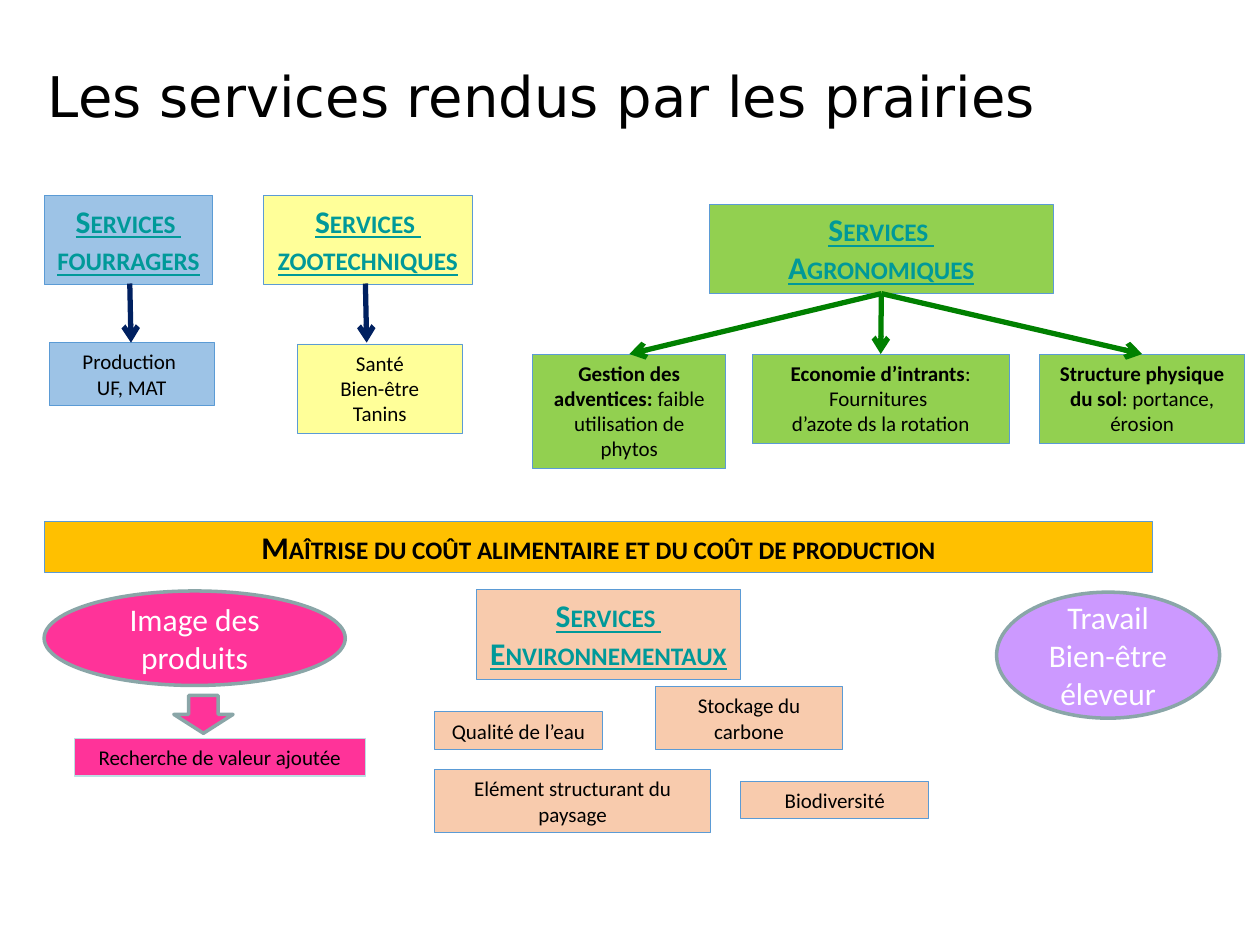
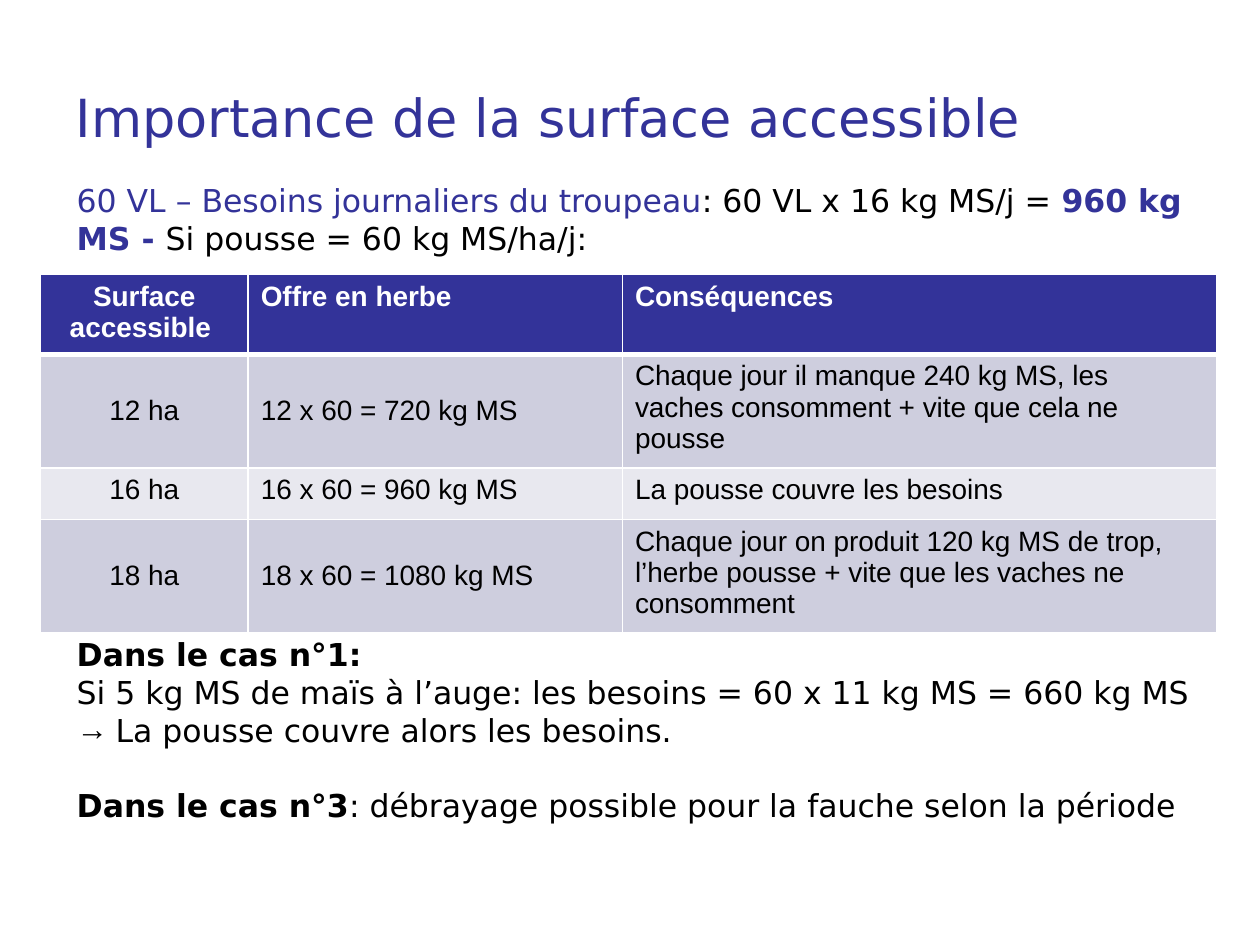
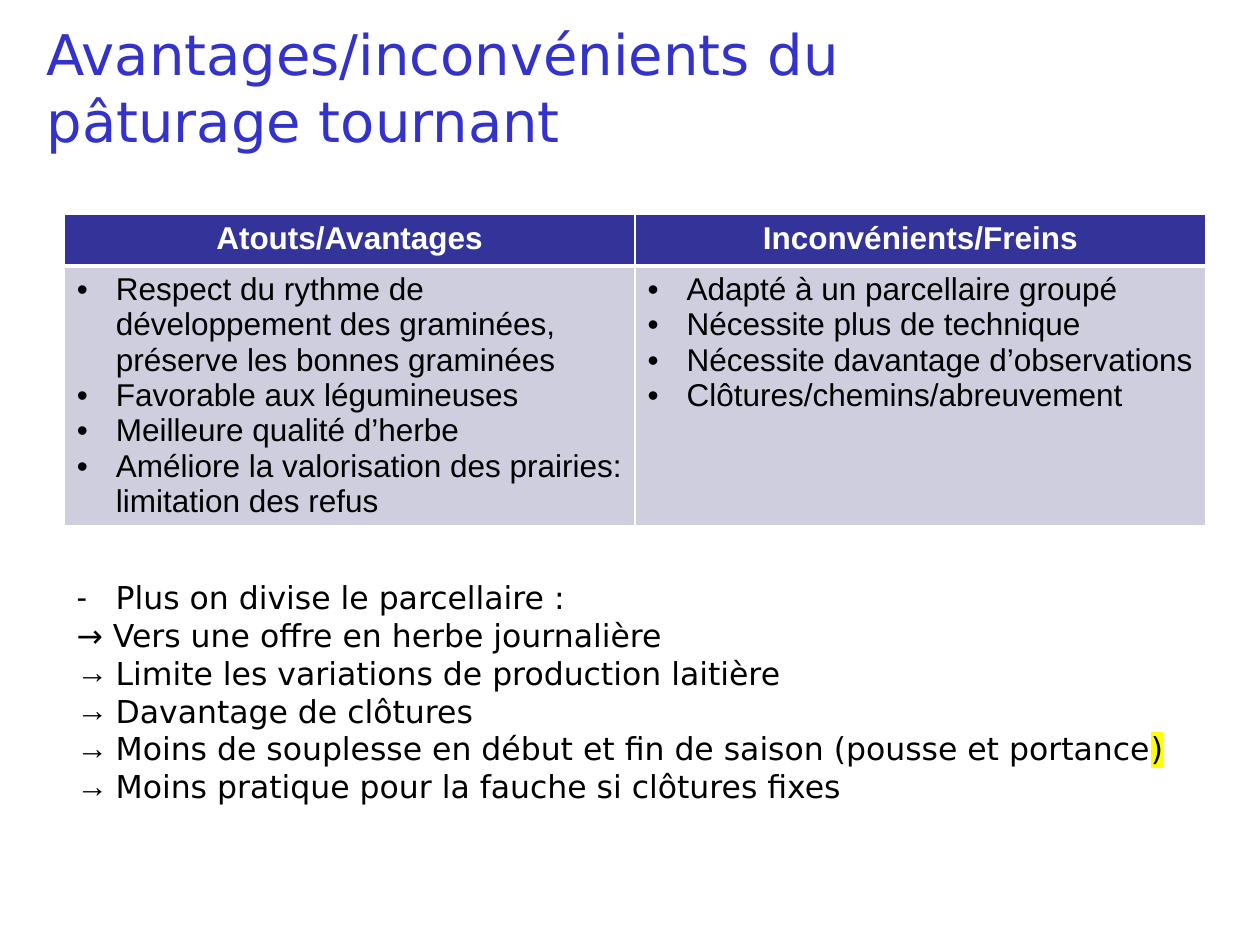
from lxml import etree
from pptx import Presentation
from pptx.dml.color import RGBColor
from pptx.enum.shapes import MSO_CONNECTOR, MSO_SHAPE
from pptx.enum.text import MSO_ANCHOR, PP_ALIGN
from pptx.oxml.ns import qn
from pptx.util import Inches, Pt

RECT, OVAL, DOWN = MSO_SHAPE.RECTANGLE, MSO_SHAPE.OVAL, MSO_SHAPE.DOWN_ARROW
TOP, MIDDLE = MSO_ANCHOR.TOP, MSO_ANCHOR.MIDDLE
LEFT, CENTER = PP_ALIGN.LEFT, PP_ALIGN.CENTER


class Theme:
    black, white, indigo, violet = "000000", "FFFFFF", "333399", "3333CC"
    blue, yellow, green, peach = "9DC3E6", "FFFF99", "92D050", "F8CBAD"
    gold, pink, mauve, teal = "FFC000", "FF3399", "CC99FF", "009999"
    outline, grey, pale = "5B9BD5", "8AA6A8", "BBE0E3"
    navy, forest, marker = "002060", "008000", "FFFF00"
    band, light = "CECEDE", "E8E8EF"
    title, sans, table = "DejaVu Sans", "Calibri", "Arial"
    indent = 0.31


T = Theme
BOLD = {"bold": True}
BLUE_TEXT = {"color": T.indigo}
BODY = {"name": T.title, "size": 18, "color": T.black}
LABEL = {"name": T.sans, "size": 12, "color": T.black}
ELLIPSE = {"name": T.sans, "size": 18, "color": T.white}
COST = {"name": T.sans, "size": 18, "color": T.black, "bold": True, "caps": True}
SERVICE = COST | {"color": T.teal, "underline": True}

TITLES = [
    ("Les services rendus par les prairies", (0.28, 0.13, 9, 1.25), 32, T.black),
    ("Importance de la surface accessible", (0.5, 0.3, 9, 1.25), 30, T.indigo),
    ("Avantages/inconvénients du pâturage tournant", (0.27, 0.06, 8.5, 1.25), 32, T.violet),
]

SERVICES = [
    ((0.35, 1.55, 1.34, 0.71), T.blue, ["Services ", "fourragers"]),
    ((2.09, 1.55, 1.66, 0.71), T.yellow, ["Services ", "zootechniques"]),
    ((5.63, 1.62, 2.73, 0.71), T.green, ["Services ", "Agronomiques"]),
    ((3.78, 4.68, 2.1, 0.71), T.peach, ["Services ", "Environnementaux"]),
]
DETAILS = [
    ((0.39, 2.72, 1.31, 0.5), T.blue, ["Production ", "UF, MAT"]),
    ((2.36, 2.73, 1.31, 0.71), T.yellow, ["Santé", "Bien-être", "Tanins"]),
    ((4.23, 2.81, 1.53, 0.91), T.green,
     [[("Gestion des adventices: ", BOLD), "faible utilisation de phytos"]]),
    ((5.97, 2.81, 2.04, 0.71), T.green,
     [[("Economie d’intrants", BOLD), ": Fournitures "], "d’azote ds la rotation"]),
    ((8.25, 2.81, 1.63, 0.71), T.green,
     [[("Structure physique", BOLD)], [("du sol", BOLD), ": portance, érosion"]]),
    ((3.45, 5.65, 1.33, 0.3), T.peach, ["Qualité de l’eau"]),
    ((5.2, 5.45, 1.49, 0.5), T.peach, ["Stockage du carbone"]),
    ((3.45, 6.11, 2.19, 0.5), T.peach, ["Elément structurant du paysage"]),
    ((5.88, 6.2, 1.49, 0.3), T.peach, ["Biodiversité"]),
]
COST_BAR = ((0.35, 4.14, 8.8, 0.4), T.gold, ["Maîtrise du coût alimentaire et du coût de production"])
ELLIPSES = [
    ((0.35, 4.69, 2.39, 0.75), T.pink, ["Image des produits"]),
    ((7.91, 4.7, 1.77, 1), T.mauve, ["Travail", "Bien-être éleveur"]),
]
VALUE_ARROW = (1.38, 5.52, 0.47, 0.3)
VALUE = ((0.59, 5.86, 2.31, 0.3), T.pink, ["Recherche de valeur ajoutée"])
SERVICE_ARROWS = [((1.03, 2.25), (1.04, 2.72)), ((2.9, 2.25), (2.91, 2.72))]

NEEDS = [[("60 VL – Besoins journaliers du troupeau", BLUE_TEXT),
          ": 60 VL x 16 kg MS/j = ",
          ("960 kg MS - ", BLUE_TEXT | BOLD),
          "Si pousse = 60 kg MS/ha/j:"]]
CASES = [
    [("Dans le cas n°1:", BOLD)],
    "Si 5 kg MS de maïs à l’auge: les besoins = 60 x 11 kg MS = 660 kg MS",
    {"bullet": "→", "runs": ["La pousse couvre alors les besoins."]},
    {"before": 21.5, "runs": [("Dans le cas n°3", BOLD),
                              ": débrayage possible pour la fauche selon la période"]},
]
GRASS = [
    ["Surface accessible ", "Offre en herbe", "Conséquences"],
    ["12 ha", "12 x 60 = 720 kg MS",
     "Chaque jour il manque 240 kg MS, les vaches consomment + vite que cela ne pousse"],
    ["16 ha", "16 x 60 = 960 kg MS", "La pousse couvre les besoins"],
    ["18 ha", "18 x 60 = 1080 kg MS",
     "Chaque jour on produit 120 kg MS de trop, l’herbe pousse + vite que les vaches ne consomment"],
]


def bullets(mark, *texts):
    return [{"bullet": mark, "runs": text if isinstance(text, list) else [text]} for text in texts]


GRAZING = [
    ["Atouts/Avantages", "Inconvénients/Freins"],
    [bullets("•", "Respect du rythme de développement des graminées, préserve les bonnes graminées",
             "Favorable aux légumineuses", "Meilleure qualité d’herbe",
             "Améliore la valorisation des prairies: limitation des refus"),
     bullets("•", "Adapté à un parcellaire groupé", "Nécessite plus de technique",
             "Nécessite davantage d’observations", "Clôtures/chemins/abreuvement")],
]
EFFECTS = [
    *bullets("-", "Plus on divise le parcellaire :"),
    "→ Vers une offre en herbe journalière",
    *bullets("→", "Limite les variations de production laitière", "Davantage de clôtures",
             ["Moins de souplesse en début et fin de saison (pousse et portance",
              (")", {"highlight": T.marker})],
             "Moins pratique pour la fauche si clôtures fixes"),
]


def rgb(code):
    return RGBColor.from_string(code)


def inches(values):
    return [Inches(v) for v in values]


def sub(parent, tag, **attrs):
    return etree.SubElement(parent, qn(tag), attrs)


def style_run(r, fmt):
    r.font.color.rgb = rgb(fmt["color"])
    r.font.size = Pt(fmt["size"])
    for key in ("name", "bold", "underline"):
        setattr(r.font, key, fmt.get(key, False))
    rPr = r.font._element
    if fmt.get("caps"):
        rPr.set("cap", "small")
    if "highlight" in fmt:
        mark = sub(rPr, "a:highlight")
        sub(mark, "a:srgbClr", val=fmt["highlight"])
        rPr.find(qn("a:latin")).addprevious(mark)


def write(tf, paragraphs, fmt, align=LEFT):
    for i, item in enumerate(paragraphs):
        if isinstance(item, str):
            item = [item]
        if isinstance(item, list):
            item = {"runs": item}
        p = tf.add_paragraph() if i else tf.paragraphs[0]
        p.alignment = align
        if "before" in item:
            p.space_before = Pt(item["before"])
        if "bullet" in item:
            pPr = p._p.get_or_add_pPr()
            pPr.set("marL", str(Inches(T.indent)))
            pPr.set("indent", str(-Inches(T.indent)))
            sub(pPr, "a:buFont", typeface=T.table)
            sub(pPr, "a:buChar", char=item["bullet"])
        for run in item["runs"]:
            text, extra = (run, {}) if isinstance(run, str) else run
            r = p.add_run()
            r.text = text
            style_run(r, fmt | extra)


def add_slide(prs, text, box, size, color):
    s = prs.slides.add_slide(prs.slide_layouts[5])
    title = s.shapes.title
    title.left, title.top, title.width, title.height = inches(box)
    title.text_frame.vertical_anchor = MIDDLE
    write(title.text_frame, [text], {"name": T.title, "size": size, "color": color})
    return s


def add_text(s, box, paragraphs):
    tf = s.shapes.add_textbox(*inches(box)).text_frame
    tf.word_wrap = True
    write(tf, paragraphs, BODY)


def add_box(s, box, fill, paragraphs=(), fmt=LABEL, kind=RECT, line=(T.outline, 0.5),
            anchor=TOP, wrap=True):
    sp = s.shapes.add_shape(kind, *inches(box))
    sp.shadow.inherit = False
    sp.fill.solid()
    sp.fill.fore_color.rgb = rgb(fill)
    sp.line.color.rgb = rgb(line[0])
    sp.line.width = Pt(line[1])
    tf = sp.text_frame
    tf.word_wrap = wrap
    tf.vertical_anchor = anchor
    write(tf, paragraphs, fmt, CENTER)


def add_arrow(s, start, end, color):
    cx = s.shapes.add_connector(MSO_CONNECTOR.STRAIGHT, *inches(start + end))
    cx.line.color.rgb = rgb(color)
    cx.line.width = Pt(3)
    sub(cx.line._get_or_add_ln(), "a:tailEnd", type="arrow")
    sub(cx._element.spPr, "a:effectLst")


def add_borders(cell, widths):
    tcPr = cell._tc.get_or_add_tcPr()
    for side, width in zip("LRTB", widths):
        ln = sub(tcPr, f"a:ln{side}", w=str(Pt(width)))
        sub(sub(ln, "a:solidFill"), "a:srgbClr", val=T.white)


def add_grid(s, origin, cols, rows, data, size, centered, middle=()):
    table = s.shapes.add_table(len(rows), len(cols), *inches(origin + (sum(cols), sum(rows)))).table
    for col, width in zip(table.columns, cols):
        col.width = Inches(width)
    for i, (row, height) in enumerate(zip(table.rows, rows)):
        row.height = Inches(height)
        for j, cell in enumerate(row.cells):
            add_borders(cell, (1, 1, 3 if i == 1 else 1, 3 if i == 0 else 1))
            cell.fill.solid()
            cell.fill.fore_color.rgb = rgb(T.indigo if i == 0 else T.band if i % 2 else T.light)
            cell.vertical_anchor = MIDDLE if (i, j) in middle else TOP
            fmt = {"name": T.table, "size": size, "bold": i == 0,
                   "color": T.black if i else T.white}
            content = data[i][j]
            write(cell.text_frame, [content] if isinstance(content, str) else content, fmt,
                  CENTER if centered(i, j) else LEFT)


def build_services(s):
    for part in SERVICES:
        add_box(s, *part, SERVICE, wrap=False)
    for part in DETAILS:
        add_box(s, *part)
    add_box(s, *COST_BAR, COST)
    for part in ELLIPSES:
        add_box(s, *part, ELLIPSE, OVAL, (T.grey, 2), MIDDLE)
    add_box(s, VALUE_ARROW, T.pink, kind=DOWN, line=(T.grey, 2))
    add_box(s, *VALUE, line=(T.pale, 0.75))
    for start, end in SERVICE_ARROWS:
        add_arrow(s, start, end, T.navy)
    left, top, width, height = SERVICES[2][0]
    for (x, y, w, _), fill, _ in DETAILS:
        if fill == T.green:
            add_arrow(s, (left + width / 2, top + height), (x + w / 2, y), T.forest)


def build_surface(s):
    add_text(s, (0.51, 1.39, 9.21, 0.7), NEEDS)
    add_grid(s, (0.32, 2.18), [1.65, 2.97, 4.72], [0.62, 0.62, 0.41, 0.89], GRASS, 16,
             lambda i, j: j == 0, {(1, 0), (1, 1), (3, 0), (3, 1)})
    add_text(s, (0.51, 4.99, 9.21, 1.65), CASES)


def build_grazing(s):
    add_grid(s, (0.51, 1.7), [4.53, 4.53], [0.41, 2.05], GRAZING, 18, lambda i, j: i == 0)
    add_text(s, (0.51, 4.54, 9.37, 2.52), EFFECTS)


def main():
    prs = Presentation()
    prs.slide_width, prs.slide_height = Inches(10), Inches(7.5)
    for title, build in zip(TITLES, (build_services, build_surface, build_grazing)):
        build(add_slide(prs, *title))
    prs.save("out.pptx")


if __name__ == "__main__":
    main()
